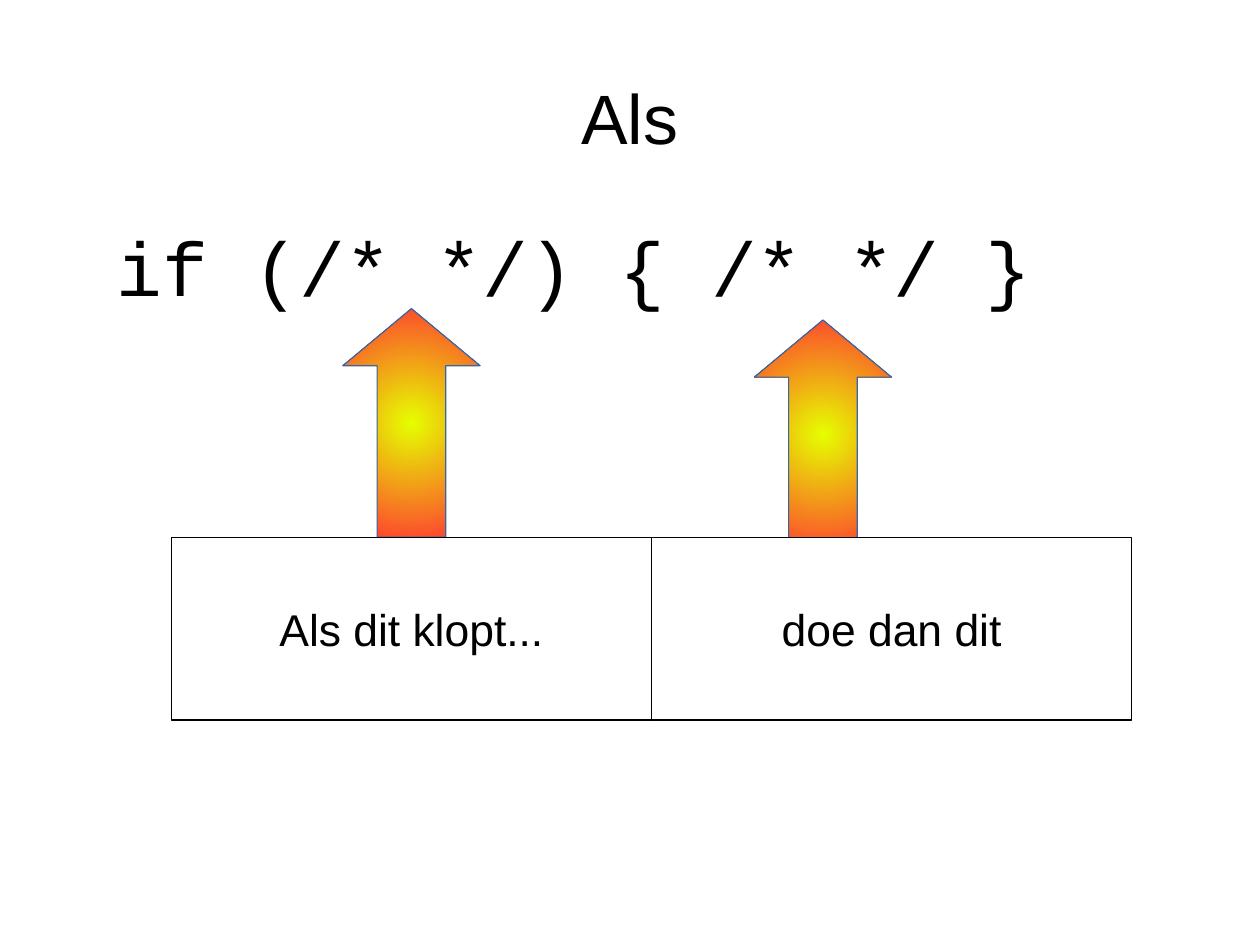
from dataclasses import dataclass

import pptx
import pptx.dml.color
import pptx.enum.shapes
import pptx.enum.text
import pptx.oxml
import pptx.oxml.ns
import pptx.util

Pt = pptx.util.Pt
RGB = pptx.dml.color.RGBColor
Shape = pptx.enum.shapes.MSO_SHAPE
Align = pptx.enum.text.PP_ALIGN
Anchor = pptx.enum.text.MSO_ANCHOR
qn = pptx.oxml.ns.qn


@dataclass(frozen=True)
class Theme:
    ink: RGB = RGB(0, 0, 0)
    box: RGB = RGB(255, 255, 255)
    arrow_centre: RGB = RGB(0xE6, 0xFF, 0x00)
    arrow_edge: RGB = RGB(0xFF, 0x33, 0x33)
    arrow_line: RGB = RGB(0x34, 0x65, 0xA4)
    text_font: str = "Arial"
    code_font: str = "Courier New"
    title_size: int = 44
    code_size: int = 48
    box_size: int = 28


theme = Theme()


def write(shape, text, size, font, align, anchor, inset=(0, 0), wrap=True):
    """Put one styled paragraph in the shape and return it."""
    frame = shape.text_frame
    frame.margin_left = frame.margin_right = Pt(inset[0])
    frame.margin_top = frame.margin_bottom = Pt(inset[1])
    frame.vertical_anchor = anchor
    frame.word_wrap = wrap
    paragraph = frame.paragraphs[0]
    paragraph.text = text
    paragraph.alignment = align
    paragraph.font.size = Pt(size)
    paragraph.font.name = font
    paragraph.font.color.rgb = theme.ink
    return paragraph


def fill_radial(shape, centre, edge):
    shape.fill.gradient()
    for stop, colour in zip(shape.fill.gradient_stops, (centre, edge)):
        stop.color.rgb = colour
    gradient = shape._element.spPr.find(qn("a:gradFill"))
    gradient.replace(gradient.find(qn("a:lin")), pptx.oxml.parse_xml(
        f'<a:path {pptx.oxml.ns.nsdecls("a")} path="circle">'
        '<a:fillToRect l="50000" t="50000" r="50000" b="50000"/></a:path>'))


presentation = pptx.Presentation()
presentation.slide_width = Pt(793.7)
presentation.slide_height = Pt(595.28)
slide = presentation.slides.add_slide(presentation.slide_layouts[6])
shapes = slide.shapes

title = shapes.add_textbox(Pt(39.6), Pt(23.76), Pt(714.24), Pt(99.36))
write(title, "Als", theme.title_size, theme.text_font, Align.CENTER, Anchor.MIDDLE)

code = shapes.add_textbox(Pt(39.6), Pt(138.96), Pt(714.24), Pt(344.88))
code_line = write(code, "if (/* */) { /* */ }", theme.code_size,
                  theme.code_font, Align.LEFT, Anchor.TOP)
code_line.space_after = Pt(14.2)
code_line._p.get_or_add_pPr().set("marL", str(Pt(34)))

box_left, box_top, box_width, box_height = 108, 338.4, 302.4, 115.2
arrow_width, arrow_height, head_height = 86.4, 144, 36
explanations = [
    ("Als dit klopt...", 216, 194.4),
    ("doe dan dit", 475.2, 201.6),
]
for column, (explanation, arrow_left, arrow_top) in enumerate(explanations):
    arrow = shapes.add_shape(Shape.UP_ARROW, Pt(arrow_left), Pt(arrow_top),
                             Pt(arrow_width), Pt(arrow_height))
    arrow.adjustments[1] = head_height / arrow_width
    arrow.shadow.inherit = False
    fill_radial(arrow, theme.arrow_centre, theme.arrow_edge)
    arrow.line.color.rgb = theme.arrow_line
    arrow.line.width = Pt(0)

    box = shapes.add_shape(Shape.RECTANGLE, Pt(box_left + column * box_width),
                           Pt(box_top), Pt(box_width), Pt(box_height))
    box.shadow.inherit = False
    box.fill.solid()
    box.fill.fore_color.rgb = theme.box
    box.line.color.rgb = theme.ink
    box.line.width = Pt(0)
    write(box, explanation, theme.box_size, theme.text_font,
          Align.CENTER, Anchor.MIDDLE, inset=(7.2, 3.6), wrap=False)

presentation.save("out.pptx")
